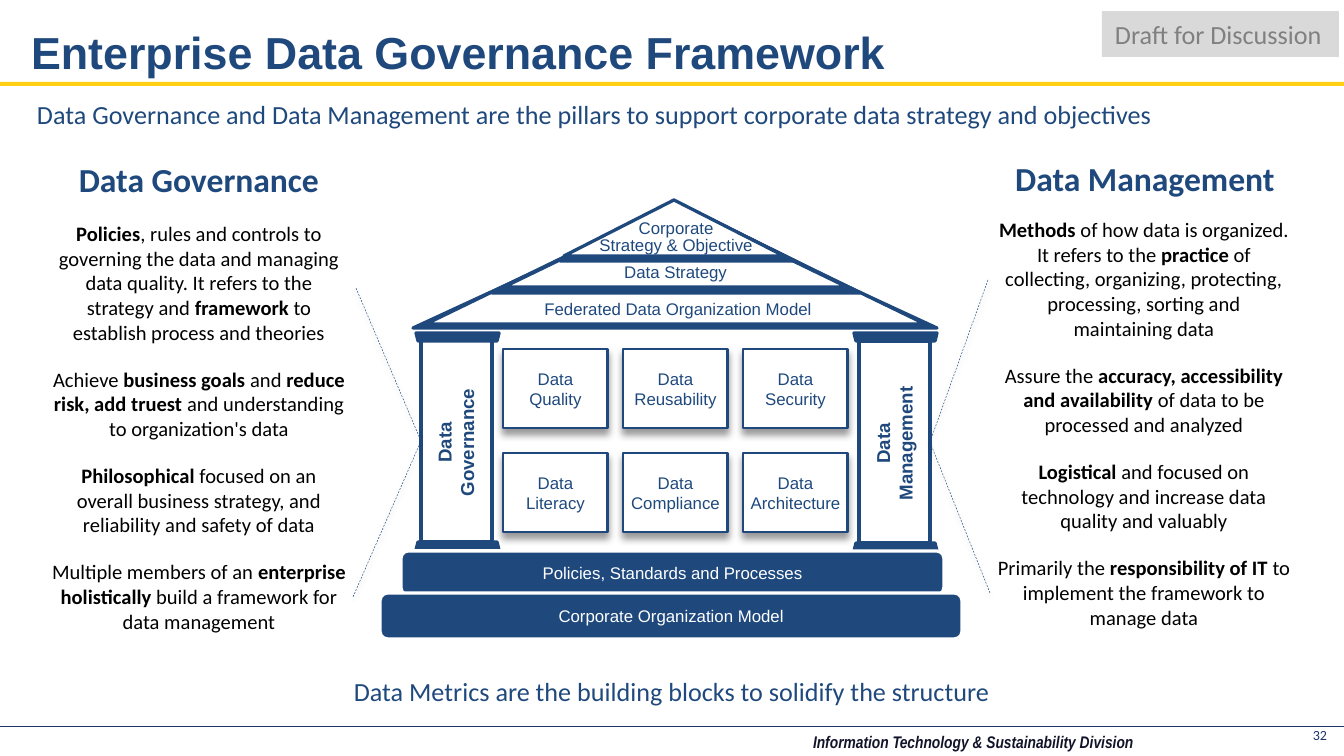
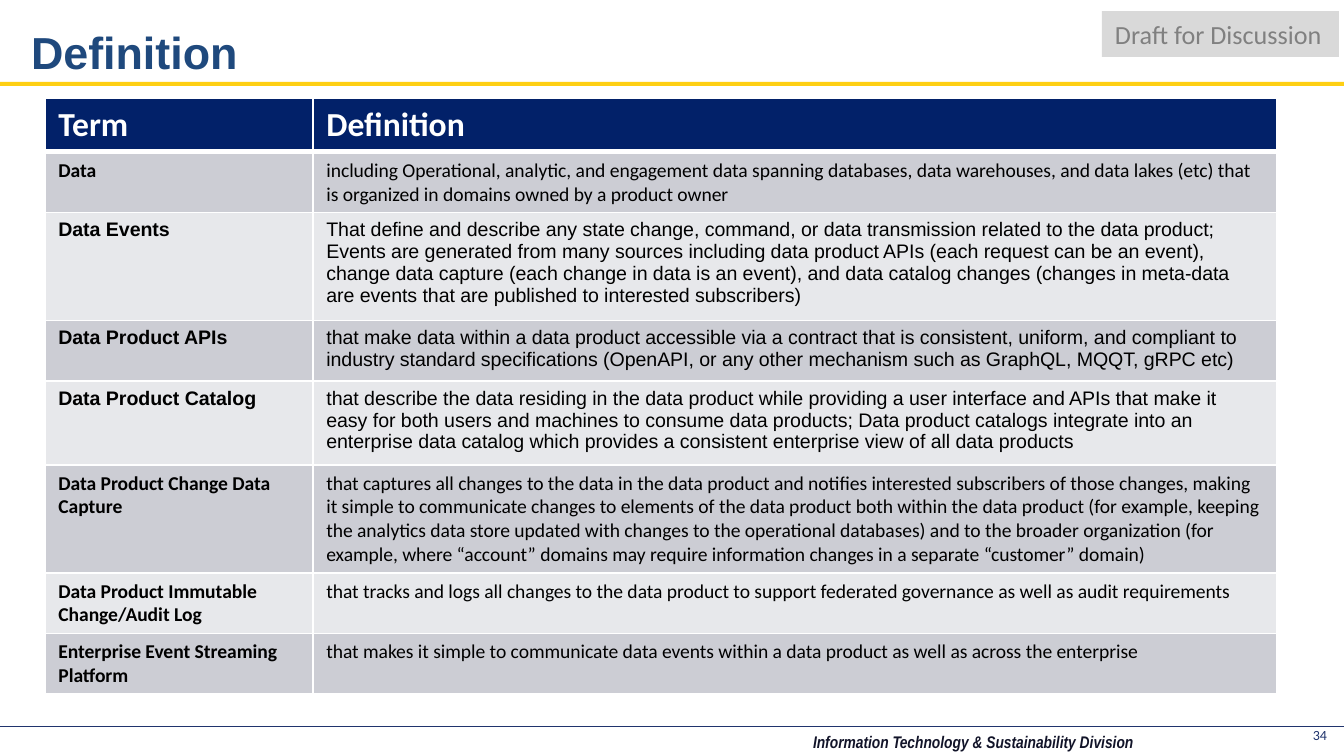
from lxml import etree
from pptx import Presentation
from pptx.dml.color import RGBColor
from pptx.enum.dml import MSO_LINE
from pptx.enum.shapes import MSO_CONNECTOR, MSO_SHAPE
from pptx.enum.text import MSO_ANCHOR, PP_ALIGN
from pptx.oxml.ns import qn
from pptx.util import Pt

PX = 914400 / 134.4
WIDTH, HEIGHT = 1344, 756

RECT, ROUNDED = MSO_SHAPE.RECTANGLE, MSO_SHAPE.ROUNDED_RECTANGLE
TRIANGLE, TRAPEZOID = MSO_SHAPE.ISOSCELES_TRIANGLE, MSO_SHAPE.TRAPEZOID
STRAIGHT, DASH = MSO_CONNECTOR.STRAIGHT, MSO_LINE.DASH
LEFT, CENTER, RIGHT = PP_ALIGN.LEFT, PP_ALIGN.CENTER, PP_ALIGN.RIGHT
TOP, MIDDLE = MSO_ANCHOR.TOP, MSO_ANCHOR.MIDDLE

BLUE, WHITE, BLACK = "1F497D", "FFFFFF", "000000"
YELLOW, FOOTER_BLUE, FOOTER_INK = "FECF13", "20346D", "121429"
STAMP_FILL, STAMP_INK = "D9D9D9", "808080"
HEADER_FILL, ROW_FILLS = "022169", ("CCCDD4", "E7E8EB")
BODY, HEADING, NARROW = "Calibri", "Arial", "Arial Narrow"

GOVERNANCE = [
    "**Policies**, rules and controls to governing the data and managing data quality. "
    "It refers to the strategy and **framework** to establish process and theories",
    "Achieve **business goals **and **reduce risk, add truest **and understanding "
    "to organization's data",
    "**Philosophical **focused on an overall business strategy, and reliability "
    "and safety of data",
    "Multiple members of an **enterprise holistically** build a framework for data management",
]
MANAGEMENT = [
    "**Methods** of how data is organized. It refers to the **practice** of collecting, "
    "organizing, protecting, processing, sorting and maintaining data",
    "Assure the **accuracy, accessibility and availability **of data to be processed and analyzed",
    "**Logistical **and focused on technology and increase data quality and valuably",
    "Primarily the **responsibility of IT **to implement the framework to manage data",
]
TILES = [
    [["Data", "Quality"], ["Data Reusability"], ["Data Security"]],
    [["Data Literacy"], ["Data Compliance"], ["Data Architecture"]],
]
ROOF = [
    (413, 207, 524, 121, BLUE),
    (426, 203, 499, 121, WHITE),
    (492, 202, 368, 91, BLUE),
    (504, 204, 343, 83, WHITE),
    (560, 203, 235, 58, BLUE),
    (564, 200, 220, 56, WHITE),
]
CALLOUTS = [
    (356, 288, 421, 441),
    (353, 597, 421, 441),
    (988, 280, 930, 442),
    (990, 593, 930, 442),
]
DEFINITIONS = [
    ("Data", BODY, 60,
     "including Operational, analytic, and engagement data spanning databases, data warehouses, "
     "and data lakes (etc) that is organized in domains owned by a product owner"),
    ("Data Events", HEADING, 108,
     "That define and describe any state change, command, or data transmission related to the "
     "data product; Events are generated from many sources including data product APIs (each "
     "request can be an event), change data capture (each change in data is an event), and data "
     "catalog changes (changes in meta-data are events that are published to interested "
     "subscribers)"),
    ("Data Product APIs", HEADING, 60,
     "that make data within a data product accessible via a contract that is consistent, uniform, "
     "and compliant to industry standard specifications (OpenAPI, or any other mechanism such as "
     "GraphQL, MQQT, gRPC etc)"),
    ("Data Product Catalog", HEADING, 84,
     "that describe the data residing in the data product while providing a user interface and "
     "APIs that make it easy for both users and machines to consume data products; Data product "
     "catalogs integrate into an enterprise data catalog which provides a consistent enterprise "
     "view of all data products"),
    ("Data Product Change Data Capture", BODY, 108,
     "that captures all changes to the data in the data product and notifies interested "
     "subscribers of those changes, making it simple to communicate changes to elements of the "
     "data product both within the data product (for example, keeping the analytics data store "
     "updated with changes to the operational databases) and to the broader organization (for "
     "example, where “account” domains may require information changes in a separate “customer” "
     "domain)"),
    ("Data Product Immutable Change/Audit Log", BODY, 60,
     "that tracks and logs all changes to the data product to support federated governance as "
     "well as audit requirements"),
    ("Enterprise Event Streaming Platform", BODY, 60,
     "that makes it simple to communicate data events within a data product as well as across "
     "the enterprise"),
]


def px(*lengths):
    return [round(length * PX) for length in lengths]


def rgb(color):
    return RGBColor.from_string(color)


def write(frame, paragraphs, size, color, font=BODY, bold=False, italic=False,
          align=LEFT, gap=0, leading=None):
    for index, text in enumerate(paragraphs):
        paragraph = frame.add_paragraph() if index else frame.paragraphs[0]
        paragraph.alignment = align
        paragraph.space_before = Pt(gap if index else 0)
        if leading:
            paragraph.line_spacing = Pt(leading)
        for position, piece in enumerate(text.split("**")):
            if piece:
                run = paragraph.add_run()
                run.text = piece
                run.font.name, run.font.size = font, Pt(size)
                run.font.bold = bold or position % 2 == 1
                run.font.italic = italic
                run.font.color.rgb = rgb(color)


def set_insets(frame, side, top, bottom):
    frame.margin_left, frame.margin_right = px(side, side)
    frame.margin_top, frame.margin_bottom = px(top, bottom)


def add_text(slide, box, paragraphs, size, color, wrap=True, insets=(13, 7, 7),
             rotation=0, **style):
    label = slide.shapes.add_textbox(*px(*box))
    label.rotation = rotation
    label.text_frame.word_wrap = wrap
    set_insets(label.text_frame, *insets)
    write(label.text_frame, paragraphs, size, color, **style)


def add_block(slide, kind, box, fill, line=None, weight=1.75, rotation=0):
    block = slide.shapes.add_shape(kind, *px(*box))
    block.shadow.inherit = False
    block.rotation = rotation
    block.fill.solid()
    block.fill.fore_color.rgb = rgb(fill)
    if line:
        block.line.color.rgb = rgb(line)
        block.line.width = Pt(weight)
    else:
        block.line.fill.background()
    return block


def label_block(block, paragraphs, color, side=13):
    frame = block.text_frame
    frame.word_wrap = True
    frame.vertical_anchor = MIDDLE
    set_insets(frame, side, 7, 7)
    write(frame, paragraphs, 9, color, HEADING, align=CENTER)


def cast_shadow(shape, blur, distance, opacity):
    properties = shape._element.spPr
    effects = properties.find(qn("a:effectLst"))
    if effects is None:
        effects = etree.SubElement(properties, qn("a:effectLst"))
    shadow = etree.SubElement(effects, qn("a:outerShdw"), blurRad=str(Pt(blur)),
                              dist=str(Pt(distance)), dir="5400000", rotWithShape="0")
    tint = etree.SubElement(shadow, qn("a:srgbClr"), val=BLACK)
    etree.SubElement(tint, qn("a:alpha"), val=str(opacity * 1000))


def add_line(slide, ends, color):
    line = slide.shapes.add_connector(STRAIGHT, *px(*ends))
    line.line.color.rgb = rgb(color)
    line.line.width = Pt(0.25)
    etree.SubElement(line._element.spPr, qn("a:effectLst"))
    return line


def start_slide(deck, heading, number, title_width):
    slide = deck.slides.add_slide(deck.slide_layouts[5])
    add_block(slide, RECT, (0, 82, WIDTH, 4), YELLOW)
    add_line(slide, (0, 726, WIDTH, 726), FOOTER_BLUE)
    add_text(slide, (804, 728, 466, 30), ["Information Technology & Sustainability Division"],
             9, FOOTER_INK, insets=(9, 4, 4), font=NARROW, bold=True, italic=True)
    add_text(slide, (1266, 720, 74, 32), [number], 7.5, FOOTER_BLUE, align=RIGHT)
    title = slide.shapes.title
    title.left, title.top, title.width, title.height = px(18, 12, title_width, 57)
    title.text_frame.vertical_anchor = TOP
    title.text_frame.word_wrap = True
    set_insets(title.text_frame, 13, 13, 0)
    write(title.text_frame, [heading], 24, BLUE, HEADING, bold=True)
    stamp = add_block(slide, RECT, (1102, 11, 237, 46), STAMP_FILL)
    stamp.text_frame.vertical_anchor = TOP
    stamp.text_frame.word_wrap = False
    set_insets(stamp.text_frame, 13, 7, 7)
    write(stamp.text_frame, ["Draft for Discussion"], 14, STAMP_INK)
    return slide


def add_pillar(slide, left, top):
    add_block(slide, RECT, (left, top, 71, 202), WHITE, BLUE)
    add_block(slide, TRAPEZOID, (left - 5, top + 202, 83, 8), BLUE, BLUE)
    add_block(slide, TRAPEZOID, (left - 5, 333, 83, 8), BLUE, BLUE, rotation=180)


def add_tile(slide, left, top, name):
    tile = add_block(slide, RECT, (left, top, 105, 79), WHITE, BLUE, 1.5)
    cast_shadow(tile, 4, 3, 40)
    label_block(tile, name, BLUE, side=5)


def add_temple(slide):
    for *box, fill in ROOF:
        add_block(slide, TRIANGLE, box, fill, BLUE)
    add_pillar(slide, 421, 340)
    add_pillar(slide, 859, 341)
    for box, name in (((401, 551, 543, 44), "Policies, Standards and Processes"),
                      ((380, 593, 582, 46), "Corporate Organization Model")):
        label_block(add_block(slide, ROUNDED, box, BLUE, WHITE), [name], WHITE)
    for box, name in (((364, 413, 183, 59), ["Data", "Governance"]),
                      ((804, 414, 180, 59), ["Data Management"])):
        add_text(slide, box, name, 10, BLUE, rotation=270, font=HEADING, bold=True, align=CENTER)
    for box, name, leading in (
            ((482, 292, 392, 34), ["Federated Data Organization Model"], None),
            ((558, 255, 235, 34), ["Data Strategy"], None),
            ((571, 214, 210, 47), ["Corporate", "Strategy & Objective"], 9)):
        add_text(slide, box, name, 9, BLUE, font=HEADING, align=CENTER, leading=leading)
    for row, names in enumerate(TILES):
        for column, name in enumerate(names):
            add_tile(slide, 503 + 120 * column, 349 + 104 * row, name)


def build_framework(deck):
    slide = start_slide(deck, "Enterprise Data Governance Framework", "32", 1394)
    add_temple(slide)
    for heading, points, heading_box, points_box in (
            ("Data Governance", GOVERNANCE, (42, 152, 314, 54), (39, 214, 320, 477)),
            ("Data Management", MANAGEMENT, (988, 151, 314, 54), (984, 210, 320, 477))):
        add_text(slide, heading_box, [heading], 18, BLUE, bold=True, align=CENTER)
        add_text(slide, points_box, points, 11, BLACK, align=CENTER, gap=12)
    add_text(slide, (24, 91, 1148, 46),
             ["Data Governance and Data Management are the pillars to support corporate data "
              "strategy and objectives"], 14, BLUE, wrap=False)
    for ends in CALLOUTS:
        callout = add_line(slide, ends, BLUE)
        callout.line.dash_style = DASH
        cast_shadow(callout, 3.1, 1.6, 38)
    add_text(slide, (334, 668, 676, 46),
             ["Data Metrics are the building blocks to solidify the structure"],
             14, BLUE, wrap=False, align=CENTER)


def fill_cell(cell, text, fill, size, color, font, bold, bottom):
    cell.fill.solid()
    cell.fill.fore_color.rgb = rgb(fill)
    write(cell.text_frame, [text], size, color, font, bold)
    properties = cell._tc.get_or_add_tcPr()
    for index, (side, weight) in enumerate((("L", 1), ("R", 1), ("T", 1), ("B", bottom))):
        border = etree.Element(qn(f"a:ln{side}"), w=str(Pt(weight)))
        paint = etree.SubElement(border, qn("a:solidFill"))
        etree.SubElement(paint, qn("a:srgbClr"), val=WHITE)
        properties.insert(index, border)


def build_definitions(deck):
    slide = start_slide(deck, "Definition", "34", 1210)
    heights = [54] + [height for _, _, height, _ in DEFINITIONS]
    glossary = slide.shapes.add_table(len(heights), 2, *px(45, 98, 1232, sum(heights))).table
    glossary.columns[0].width, glossary.columns[1].width = px(268, 964)
    for row, height in zip(glossary.rows, px(*heights)):
        row.height = height
    for column, heading in enumerate(("Term", "Definition")):
        fill_cell(glossary.cell(0, column), heading, HEADER_FILL, 18, WHITE, BODY, True, 3)
    for row, (term, font, _, meaning) in enumerate(DEFINITIONS, 1):
        fill = ROW_FILLS[(row - 1) % 2]
        for column, text in enumerate((term, meaning)):
            fill_cell(glossary.cell(row, column), text, fill, 10.5, BLACK, font, column == 0, 1)


def main():
    deck = Presentation()
    deck.slide_width, deck.slide_height = px(WIDTH, HEIGHT)
    build_framework(deck)
    build_definitions(deck)
    deck.save("out.pptx")


if __name__ == "__main__":
    main()
